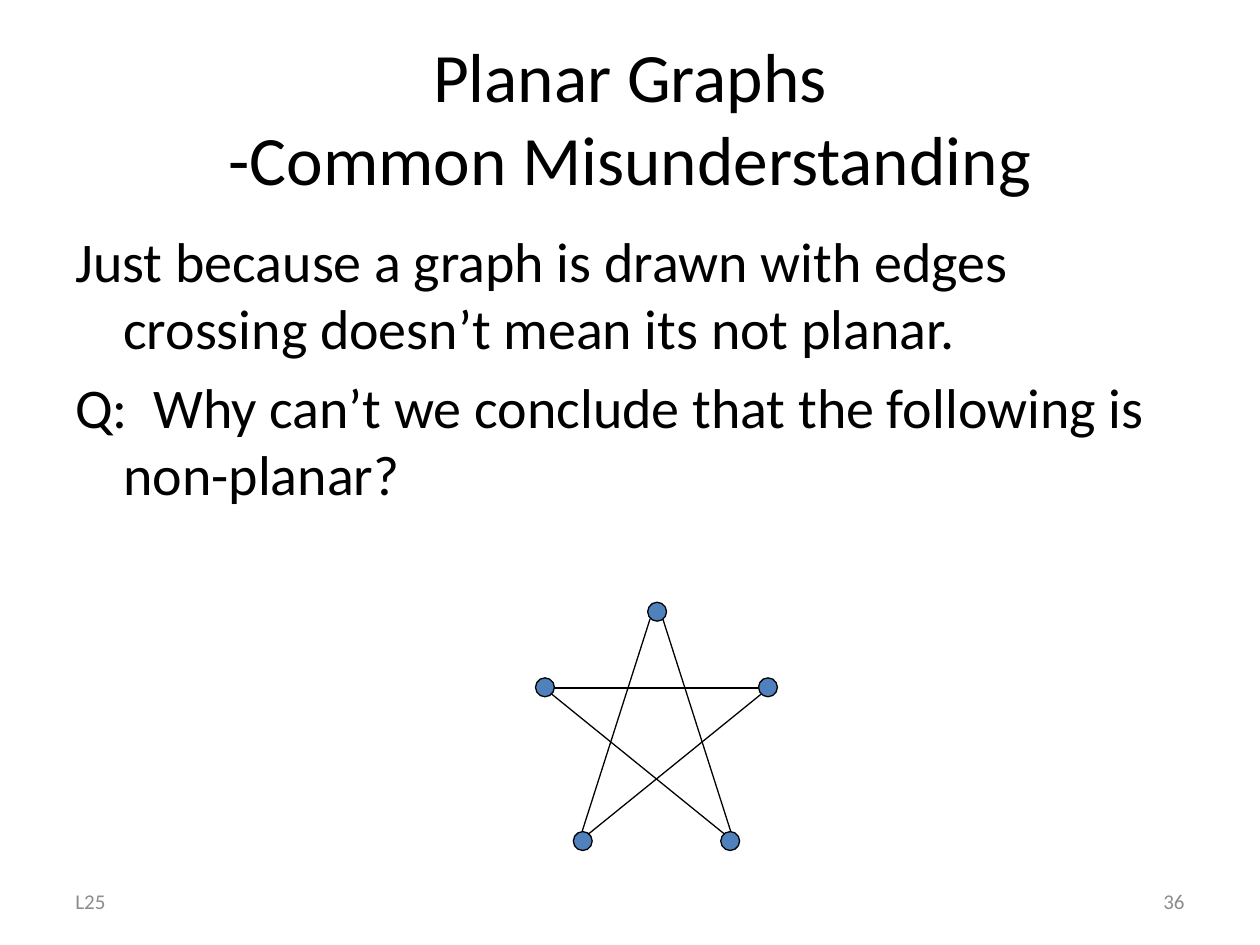
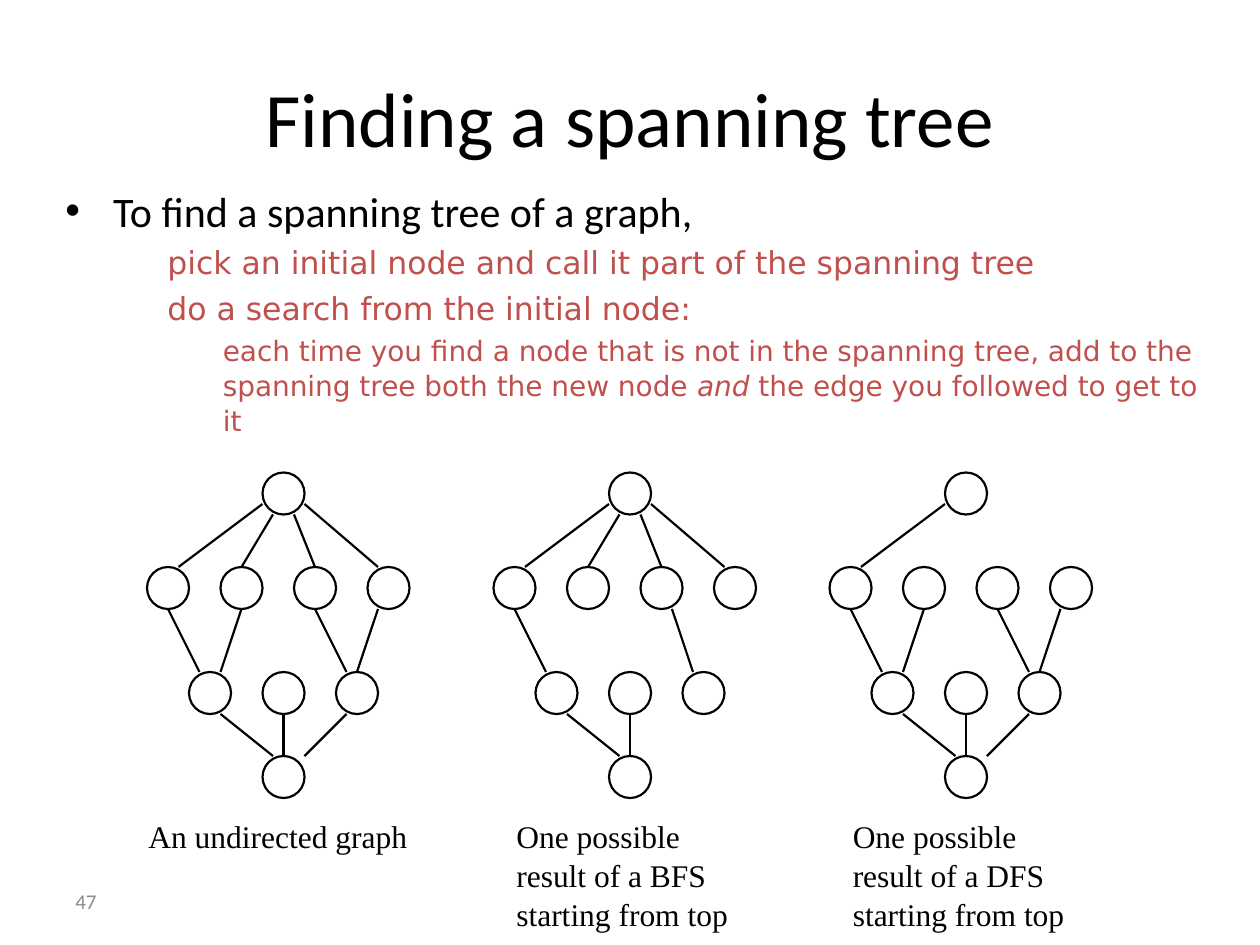
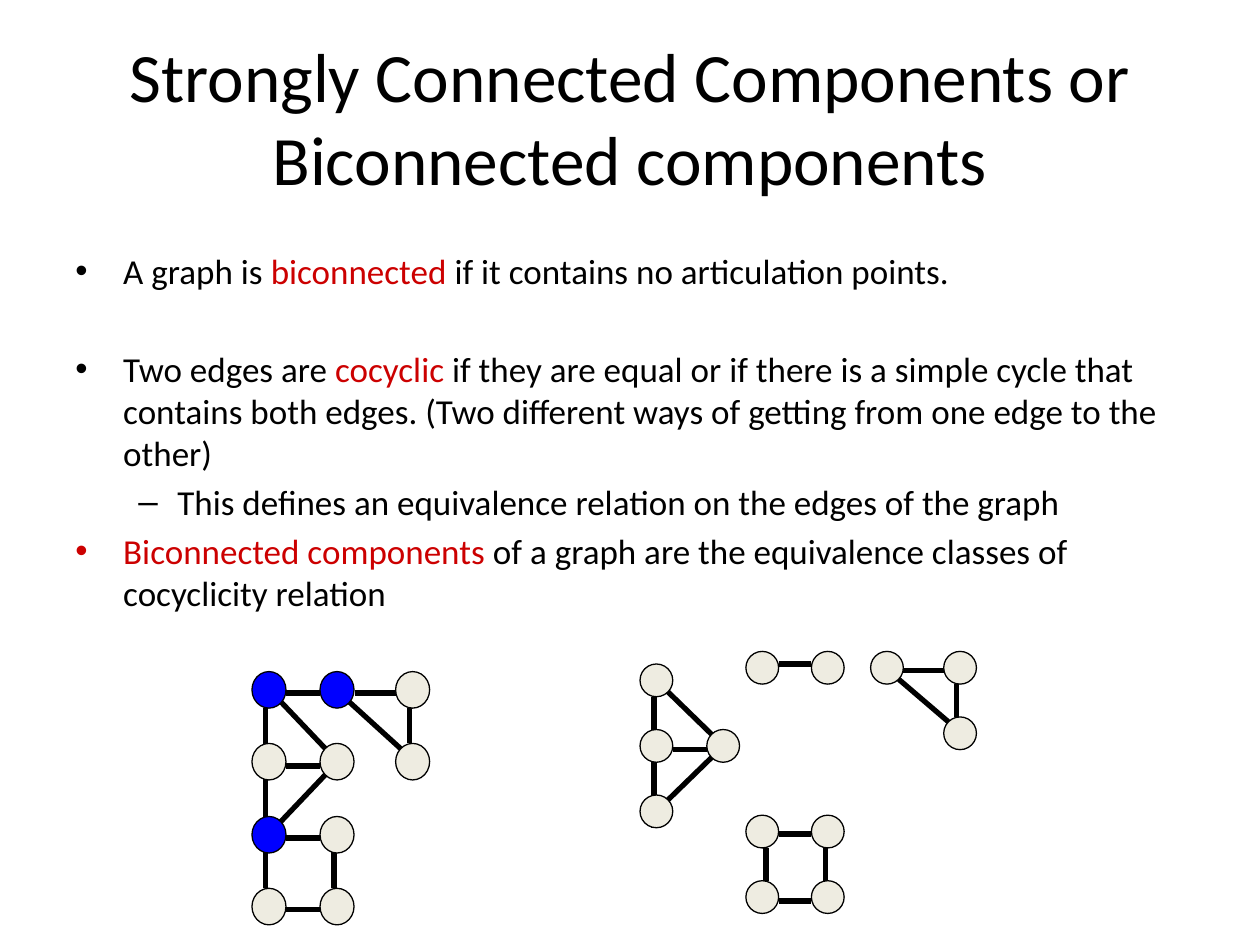
from lxml.etree import SubElement
from pptx import Presentation
from pptx.dml.color import RGBColor
from pptx.enum.shapes import MSO_CONNECTOR, MSO_SHAPE
from pptx.enum.text import MSO_ANCHOR, PP_ALIGN
from pptx.oxml.ns import qn
from pptx.util import Inches, Pt

HUES = {
    "ink": "000000", "gray": "8C8C8C", "steel": "4F81BD", "brick": "C0504D",
    "red": "CC0000", "cream": "EEECE1", "blue": "0000FF",
}
TITLE = (0.5, 0.3, 9, 1.25)
LEFT = (0.5, 6.95, 2.33, 0.4)
RIGHT = (7.17, 6.95, 2.33, 0.4)
FIRST = {"left": 0.38, "hang": -0.38}


def write(slide, box, paras, size, font="Calibri", hue="ink", align=PP_ALIGN.LEFT,
          anchor=MSO_ANCHOR.TOP):
    frame = slide.shapes.add_textbox(*map(Inches, box)).text_frame
    frame.word_wrap = True
    frame.vertical_anchor = anchor
    for i, (runs, look) in enumerate(paras):
        para = frame.paragraphs[0] if i == 0 else frame.add_paragraph()
        para.alignment = align
        pts = look.get("size", size)
        if i:
            para.space_before = Pt(look.get("gap", pts * 0.2))
        if "lines" in look:
            para.line_spacing = look["lines"]
        props = para._p.get_or_add_pPr()
        props.set("marL", str(Inches(look.get("left", 0))))
        props.set("indent", str(Inches(look.get("hang", 0))))
        if "mark" in look:
            SubElement(props, qn("a:buFont")).set("typeface", "Arial")
            SubElement(props, qn("a:buChar")).set("char", look["mark"])
        else:
            SubElement(props, qn("a:buNone"))
        for text, *style in runs:
            if text == "\n":
                para.add_line_break()
                continue
            run = para.add_run()
            run.text = text
            run.font.name = look.get("font", font)
            run.font.size = Pt(pts)
            run.font.italic = "italic" in style
            tint = next((s for s in style if s in HUES), look.get("hue", hue))
            run.font.color.rgb = RGBColor.from_string(HUES[tint])


def draw(slide, dots, size, links, fill, weight, edge):
    ink = RGBColor.from_string(HUES["ink"])
    for ends in links:
        link = slide.shapes.add_connector(MSO_CONNECTOR.STRAIGHT, *map(Inches, ends))
        link.line.color.rgb = ink
        link.line.width = Pt(weight)
        SubElement(link._element.spPr, qn("a:effectLst"))
    for dot in dots:
        node = slide.shapes.add_shape(MSO_SHAPE.OVAL, *map(Inches, (*dot, *size)))
        node.shadow.inherit = False
        if fill:
            node.fill.solid()
            node.fill.fore_color.rgb = RGBColor.from_string(HUES[fill])
        else:
            node.fill.background()
        node.line.color.rgb = ink
        node.line.width = Pt(edge)


deck = Presentation()
deck.slide_width, deck.slide_height = Inches(10), Inches(7.5)
heads = [
    (39.6, [("Planar Graphs",), ("\n",), ("-Common Misunderstanding",)]),
    (44, [("Finding a spanning tree",)]),
    (39.6, [("Strongly Connected Components or Biconnected components",)]),
]
notes = [
    [("L25", LEFT, PP_ALIGN.LEFT), ("36", RIGHT, PP_ALIGN.RIGHT)],
    [("47", LEFT, PP_ALIGN.LEFT)],
    [],
]
for (size, runs), feet in zip(heads, notes):
    slide = deck.slides.add_slide(deck.slide_layouts[6])
    write(slide, TITLE, [(runs, {})], size, align=PP_ALIGN.CENTER, anchor=MSO_ANCHOR.MIDDLE)
    for text, box, align in feet:
        write(slide, box, [([(text,)], {})], 12, hue="gray", align=align,
              anchor=MSO_ANCHOR.MIDDLE)
planar, span, bicon = deck.slides

write(planar, (0.5, 1.75, 9, 4.95), [
    ([("Just because a graph is drawn with edges crossing doesn’t mean its not planar.",)], FIRST),
    ([("Q:  Why can’t we conclude that the following is non-planar?",)], FIRST),
], 32)
star = [(5.14, 4.78), (4.25, 5.38), (6.02, 5.38), (4.55, 6.6), (5.72, 6.6)]
sides = [
    (4.4, 5.46, 6.02, 5.46), (4.67, 6.62, 6.04, 5.51), (5.75, 6.62, 4.38, 5.51),
    (5.16, 4.91, 4.62, 6.6), (5.26, 4.91, 5.8, 6.6),
]
draw(planar, star, (0.15, 0.15), sides, "steel", 0.75, 0.75)

step = {"left": 0.81, "size": 18, "font": "DejaVu Sans", "hue": "brick", "lines": 1.04}
write(span, (0.42, 1.42, 9.38, 2.65), [
    ([("To find a spanning tree of a graph,",)], {**FIRST, "mark": "•"}),
    ([("pick an initial node and call it part of the spanning tree",)], step),
    ([("do a search from the initial node:",)], step),
    ([("each time you find a node that is not in the spanning tree, add to the spanning tree "
       "both the new node ",), ("and", "italic"), (" the edge you followed to get to it",)],
     {**step, "left": 1.25, "size": 16}),
], 24)

UNIT = 12
nodes = [(11, 45), (0, 54), (7, 54), (14, 54), (21, 54), (4, 64), (11, 64), (18, 64), (11, 72)]
edges = {
    "a": (11, 48, 3, 54), "b": (9, 54, 12, 49), "c": (16, 54, 14, 49), "d": (22, 54, 15, 48),
    "e": (5, 64, 2, 58), "f": (22, 58, 20, 64), "g": (9, 58, 7, 64), "h": (16, 58, 19, 64),
    "i": (19, 68, 15, 72), "j": (7, 68, 12, 72), "k": (13, 68, 13, 72), "m": (17, 58, 19, 64),
}
trees = [
    (14, "abcdefghijk", (1.08, 6.42, 2.5, 0.4), [("An undirected graph",)]),
    (47, "abcdemjk", (4, 6.42, 2, 1),
     [("One possible result of a BFS",), ("\n",), ("starting from top",)]),
    (79, "aefghijk", (6.67, 6.42, 2, 1),
     [("One possible result of a DFS",), ("\n",), ("starting from top",)]),
]
for start, keys, box, label in trees:
    dots = [((start + x) / UNIT, y / UNIT) for x, y in nodes]
    links = [((start + x) / UNIT, y / UNIT, (start + u) / UNIT, v / UNIT)
             for x, y, u, v in map(edges.get, keys)]
    draw(span, dots, (4 / UNIT, 4 / UNIT), links, None, 1.25, 1.25)
    write(span, box, [(label, {"lines": 1.04})], 18, "Times New Roman")

point = {**FIRST, "mark": "•"}
write(bicon, (0.5, 1.93, 9, 5.5), [
    ([("A graph is ",), ("biconnected", "red"), (" if it contains no articulation points.",)],
     point),
    ([("Two edges are ",), ("cocyclic", "red"),
      (" if they are equal or if there is a simple cycle that contains both edges. "
       "(Two different ways of getting from one edge to the other)",)], {**point, "gap": 32}),
    ([("This defines an equivalence relation on the edges of the graph",)],
     {"left": 0.81, "hang": -0.31, "mark": "–"}),
    ([("Biconnected components", "red"),
      (" of a graph are the equivalence classes of cocyclicity relation",)], point),
], 20)

parts = [
    (5.08, 5.27), (5.08, 5.79), (5.08, 6.31), (5.61, 5.79), (5.92, 5.17), (6.44, 5.17),
    (6.91, 5.17), (7.49, 5.17), (7.49, 5.69), (5.92, 6.47), (6.44, 6.47), (5.92, 6.99),
    (6.44, 6.99),
]
bars = [
    (5.29, 6.36, 5.66, 6), (5.29, 5.48, 5.66, 5.84), (5.19, 5.53, 5.19, 6.57),
    (7.12, 5.38, 7.54, 5.74), (7.17, 5.32, 7.49, 5.32), (7.59, 5.43, 7.59, 5.69),
    (6.18, 7.15, 6.44, 7.15), (5.34, 5.95, 5.61, 5.95), (6.18, 6.62, 6.44, 6.62),
    (6.55, 6.73, 6.55, 6.99), (6.18, 5.27, 6.44, 5.27), (6.08, 6.73, 6.08, 6.99),
]
draw(bicon, parts, (0.26, 0.26), bars, "cream", 3, 0.75)

cols = [2, 2.54, 3.14]
rows = [5.33, 5.9, 6.48, 7.05]
cuts = [(cols[0], rows[0]), (cols[1], rows[0]), (cols[0], rows[2])]
rest = [(x, y) for y in rows for x in cols
        if (x, y) not in cuts and (x < cols[2] or y < rows[2])]
bonds = [
    (2.22, 6.53, 2.6, 6.13), (2.22, 5.56, 2.6, 5.96), (2.11, 5.62, 2.11, 7.05),
    (2.76, 5.56, 3.2, 5.96), (2.27, 5.5, 2.54, 5.5), (2.82, 5.5, 3.14, 5.5),
    (3.25, 5.62, 3.25, 5.9), (2.27, 7.22, 2.54, 7.22), (2.27, 6.08, 2.54, 6.08),
    (2.27, 6.65, 2.54, 6.65), (2.65, 6.76, 2.65, 7.05),
]
for dots, links, fill in [(rest, bonds, "cream"), (cuts, [], "blue")]:
    draw(bicon, dots, (0.27, 0.29), links, fill, 3, 0.75)

deck.save("out.pptx")
